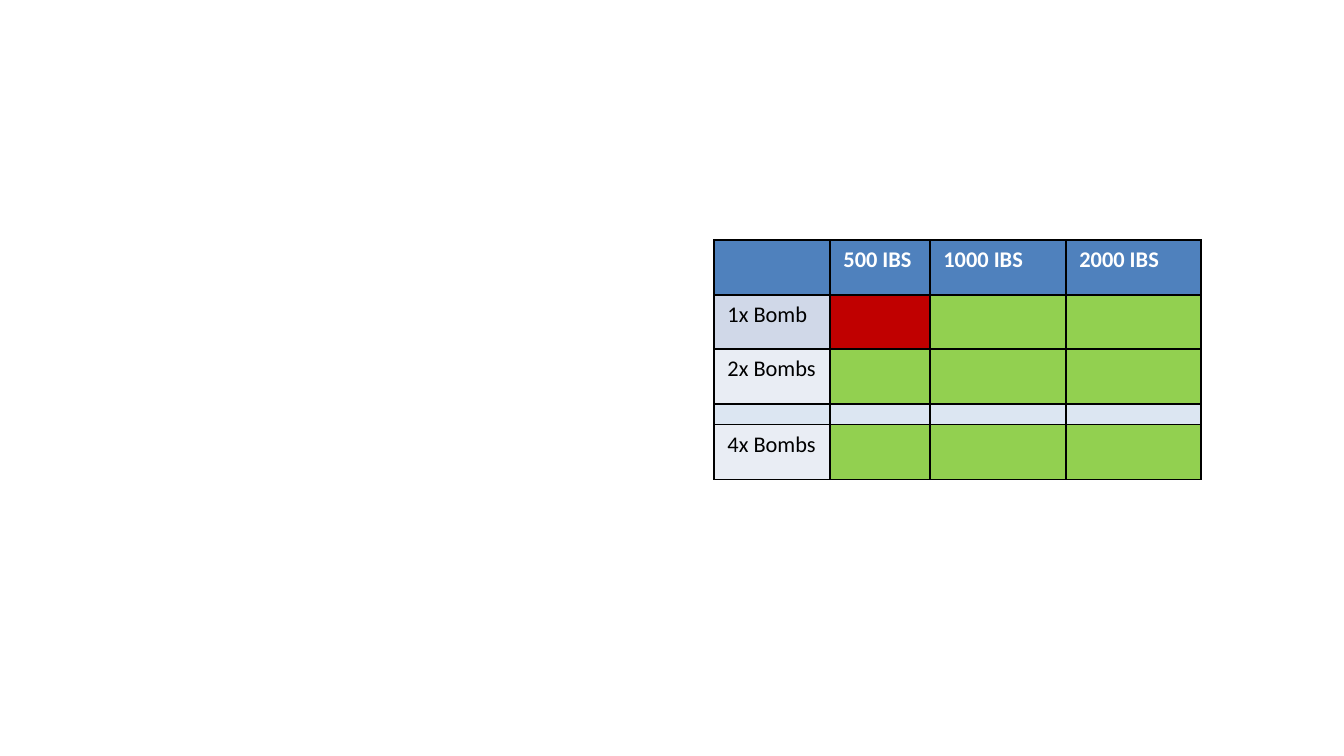
"""Build a slide with a table of bomb counts against bomb weights."""
from lxml import etree
from pptx import Presentation
from pptx.dml.color import RGBColor
from pptx.oxml.ns import qn
from pptx.util import Emu, Pt

SCALE = 914400 / 134.4
FONT = "Calibri"
BLACK = RGBColor(0, 0, 0)
WHITE = RGBColor(255, 255, 255)
BLUE = RGBColor(0x4F, 0x81, 0xBD)
MIST = RGBColor(0xD0, 0xD8, 0xE8)
PALE = RGBColor(0xE9, 0xED, 0xF4)
GAP = RGBColor(0xDC, 0xE6, 0xF2)
RED = RGBColor(0xC0, 0, 0)
GREEN = RGBColor(0x92, 0xD0, 0x50)

LEFT, TOP = 714, 240
COLS = (116, 100, 136, 135)
ROWS = (55, 54, 55, 20, 55)
HEADS = ("", "500 IBS", "1000 IBS", "2000 IBS")
NAMES = ("", "1x Bomb", "2x Bombs", "", "4x Bombs")
FILLS = (
    (BLUE,) * 4,
    (MIST, RED, GREEN, GREEN),
    (PALE, GREEN, GREEN, GREEN),
    (GAP,) * 4,
    (PALE, GREEN, GREEN, GREEN),
)


def px(size):
    """Turn pixels into EMU."""
    return Emu(round(size * SCALE))


def add_edges(cell):
    """Draw a thin black line on each side of a cell."""
    props = cell._tc.get_or_add_tcPr()
    for spot, side in enumerate(("lnL", "lnR", "lnT", "lnB")):
        line = etree.Element(qn(f"a:{side}"), w=str(Pt(1)))
        fill = etree.SubElement(line, qn("a:solidFill"))
        etree.SubElement(fill, qn("a:srgbClr"), val=str(BLACK))
        props.insert(spot, line)


def write_cell(cell, text, head):
    """Write a label, or keep an empty cell's line low."""
    para = cell.text_frame.paragraphs[0]
    if not text:
        etree.SubElement(para._p, qn("a:endParaRPr"), sz="300")
        return
    run = para.add_run()
    run.text = text
    run.font.name = FONT
    run.font.size = Pt(12)
    run.font.bold = head
    run.font.color.rgb = WHITE if head else BLACK


def add_grid(slide):
    """Add the table with its sizes, fills and labels."""
    frame = slide.shapes.add_table(len(ROWS), len(COLS), px(LEFT), px(TOP),
                                   px(sum(COLS)), px(sum(ROWS)))
    table = frame.table
    table.horz_banding = False
    for col, width in zip(table.columns, COLS):
        col.width = px(width)
    for r, height in enumerate(ROWS):
        table.rows[r].height = px(height)
        labels = HEADS if r == 0 else (NAMES[r], "", "", "")
        for c, text in enumerate(labels):
            cell = table.cell(r, c)
            cell.fill.solid()
            cell.fill.fore_color.rgb = FILLS[r][c]
            add_edges(cell)
            write_cell(cell, text, r == 0)


def main():
    """Build and save the slide."""
    deck = Presentation()
    deck.slide_width, deck.slide_height = px(1344), px(756)
    slide = deck.slides.add_slide(deck.slide_layouts[6])
    add_grid(slide)
    deck.save("out.pptx")


if __name__ == "__main__":
    main()
